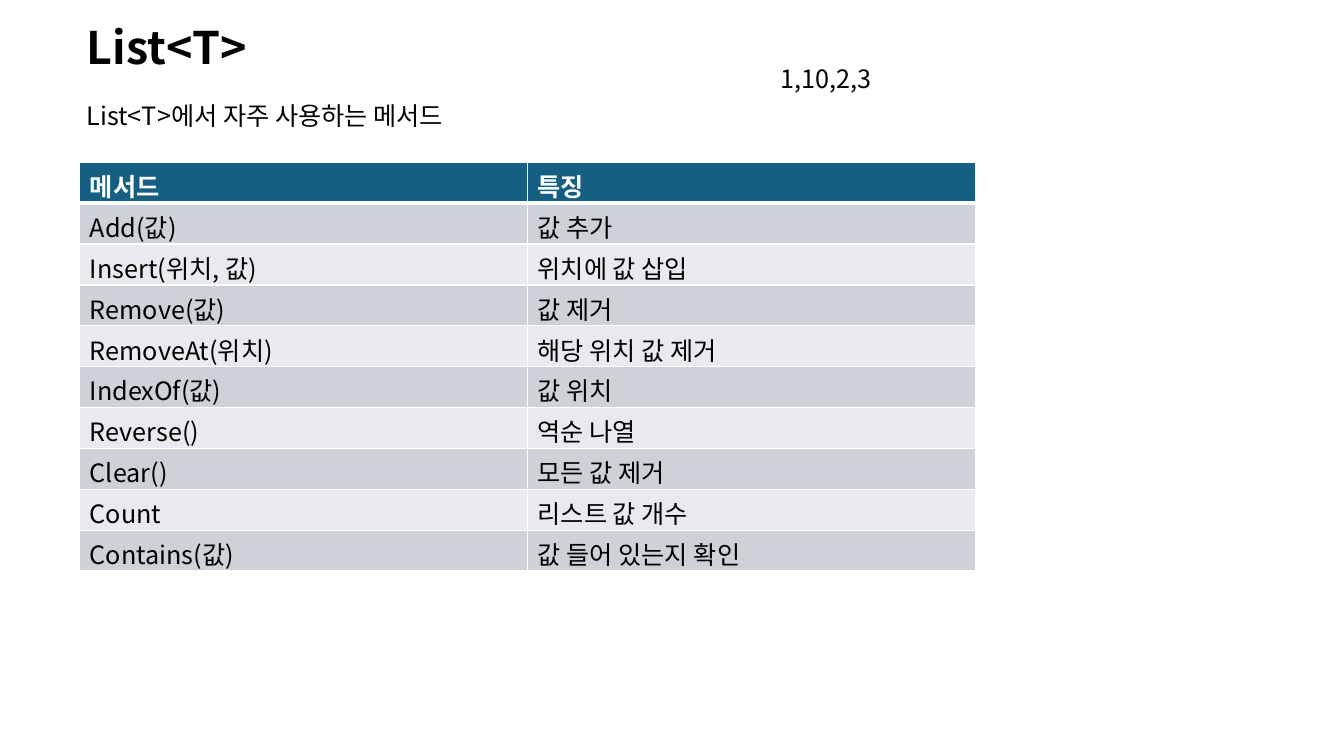
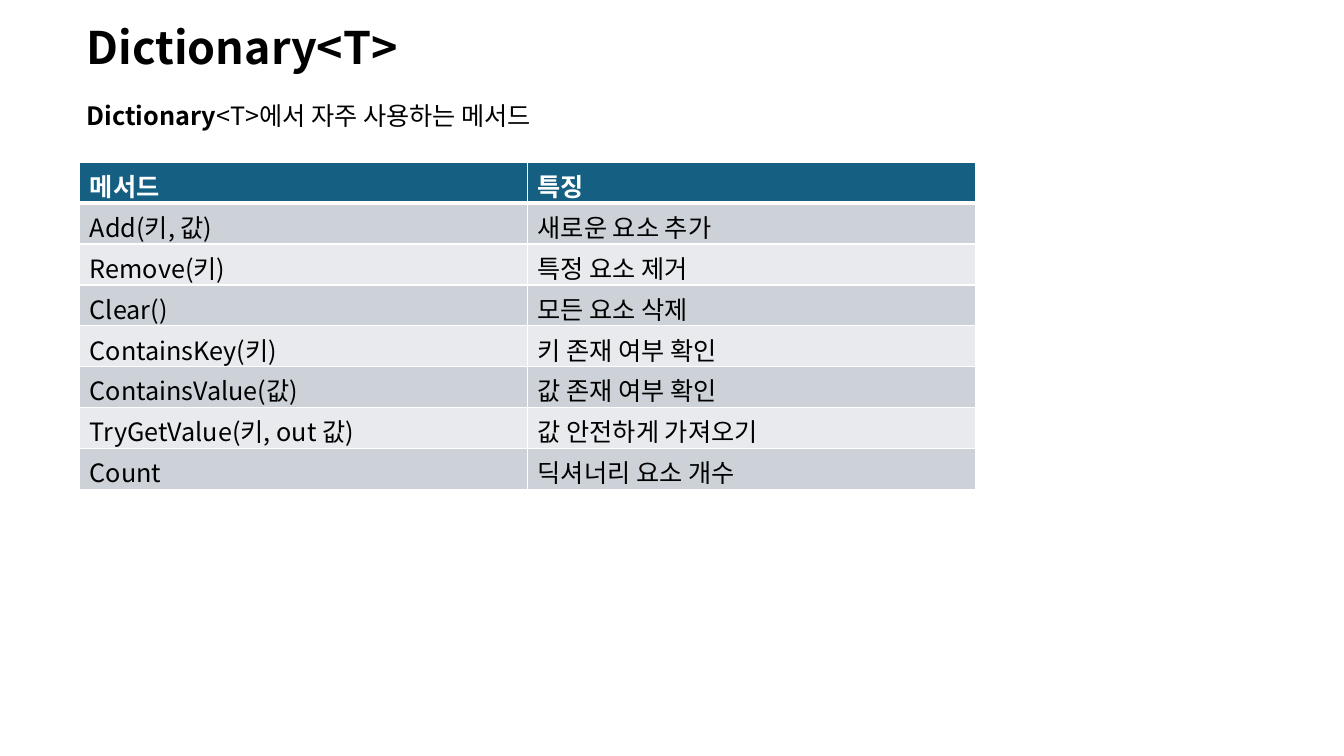
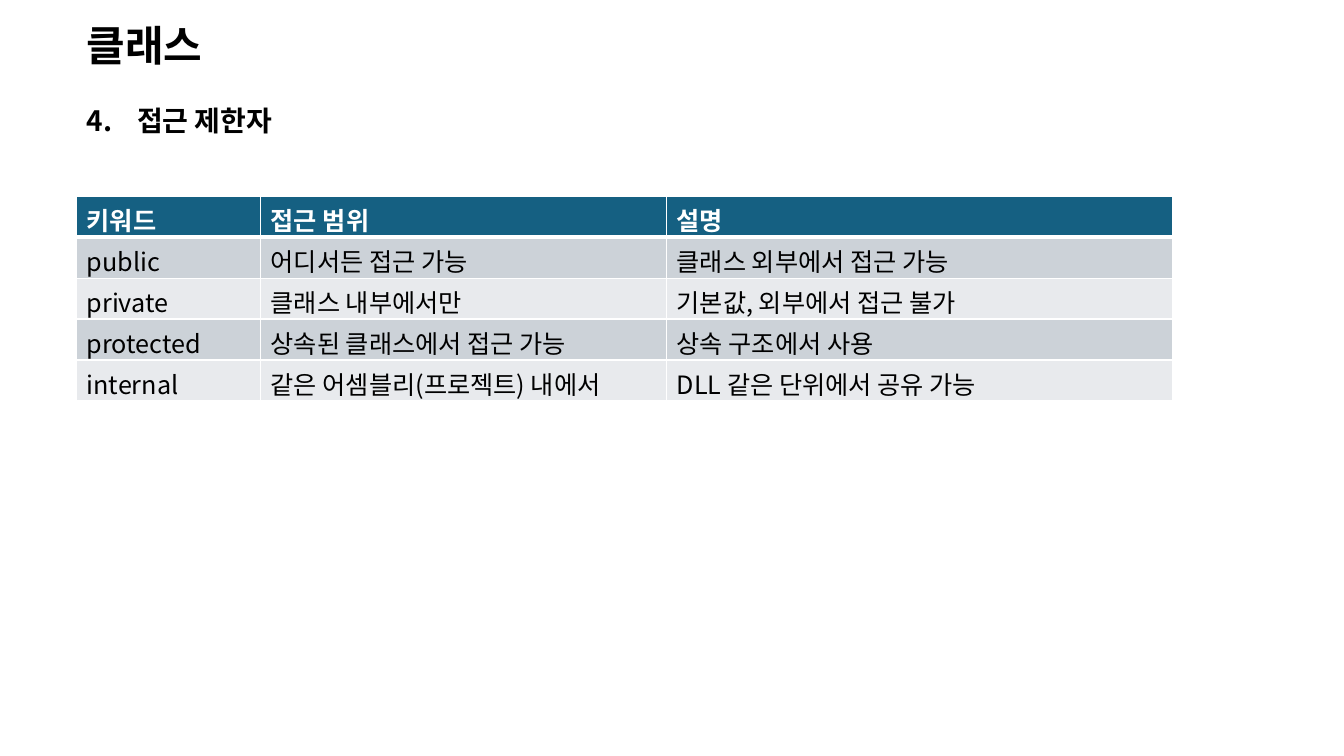
from lxml import etree
from pptx import Presentation
from pptx.dml.color import RGBColor
from pptx.enum import text as t
from pptx.oxml import ns
from pptx.util import Cm, Pt

FONT = "Noto Sans CJK KR"
INK, WHITE, HEAD = "000000", "FFFFFF", "156082"
BANDS = ["CCD2D8", "E8EAED"]
LEFT, ROW = 1.93, 1.03

LIST = [
    ("메서드", "특징"),
    ("Add(값)", "값 추가"),
    ("Insert(위치, 값)", "위치에 값 삽입"),
    ("Remove(값)", "값 제거"),
    ("RemoveAt(위치)", "해당 위치 값 제거"),
    ("IndexOf(값)", "값 위치"),
    ("Reverse()", "역순 나열"),
    ("Clear()", "모든 값 제거"),
    ("Count", "리스트 값 개수"),
    ("Contains(값)", "값 들어 있는지 확인"),
]
DICT = [
    ("메서드", "특징"),
    ("Add(키, 값)", "새로운 요소 추가"),
    ("Remove(키)", "특정 요소 제거"),
    ("Clear()", "모든 요소 삭제"),
    ("ContainsKey(키)", "키 존재 여부 확인"),
    ("ContainsValue(값)", "값 존재 여부 확인"),
    ("TryGetValue(키, out 값)", "값 안전하게 가져오기"),
    ("Count", "딕셔너리 요소 개수"),
]
ACCESS = [
    ("키워드", "접근 범위", "설명"),
    ("public", "어디서든 접근 가능", "클래스 외부에서 접근 가능"),
    ("private", "클래스 내부에서만", "기본값, 외부에서 접근 불가"),
    ("protected", "상속된 클래스에서 접근 가능", "상속 구조에서 사용"),
    ("internal", "같은 어셈블리(프로젝트) 내에서", "DLL 같은 단위에서 공유 가능"),
]


def paint(fill, color):
    fill.solid()
    fill.fore_color.rgb = RGBColor.from_string(color)


def add(parent, tag, **attrs):
    return etree.SubElement(parent, ns.qn(tag), attrs)


def style(run, size, bold=False, color=INK):
    font = run.font
    font.name, font.size, font.bold = FONT, Pt(size), bold
    paint(font.fill, color)
    add(font._element, "a:ea", typeface=FONT)


def write(box, at, parts, size, start=None):
    """Place a text shape; parts are (text, bold) runs, start numbers it."""
    box.left, box.top, box.width, box.height = map(Cm, at)
    frame = box.text_frame
    frame.word_wrap = True
    frame.vertical_anchor = t.MSO_ANCHOR.TOP
    frame.auto_size = t.MSO_AUTO_SIZE.SHAPE_TO_FIT_TEXT
    para = frame.paragraphs[0]
    para.alignment = t.PP_ALIGN.LEFT
    para.space_before = Pt(0)
    props = para._p.get_or_add_pPr()
    indent = Cm(1.27) if start else 0
    props.set("marL", str(indent))
    props.set("indent", str(-indent))
    if start:
        add(props, "a:buFont", typeface="+mj-lt")
        add(props, "a:buAutoNum", type="arabicPeriod", startAt=str(start))
    else:
        add(props, "a:buNone")
    for words, bold in parts:
        run = para.add_run()
        run.text = words
        style(run, size, bold)


def edge(cell, side, width):
    line = add(cell._tc.get_or_add_tcPr(), "a:ln" + side, w=str(Pt(width)))
    add(add(line, "a:solidFill"), "a:srgbClr", val=WHITE)


def grid(slide, left, top, widths, rows):
    """Add a table with a dark header and banded rows."""
    table = slide.shapes.add_table(
        len(rows), len(widths), Cm(left), Cm(top),
        Cm(sum(widths)), Cm(ROW * len(rows))).table
    for col, width in zip(table.columns, widths):
        col.width = Cm(width)
    for r, row in enumerate(rows):
        head = r == 0
        sides = {"L": 1, "R": 1, "T": 3 if r == 1 else 1, "B": 3 if head else 1}
        for c, words in enumerate(row):
            cell = table.cell(r, c)
            for side, width in sides.items():
                edge(cell, side, width)
            paint(cell.fill, HEAD if head else BANDS[(r - 1) % 2])
            cell.text_frame.text = words
            run = cell.text_frame.paragraphs[0].runs[0]
            style(run, 18, head, WHITE if head else INK)


def start(deck, title, size=32):
    slide = deck.slides.add_slide(deck.slide_layouts[1])
    write(slide.shapes.title, (LEFT, 0.36, 13.84, 1.6), [(title, True)], size)
    return slide, slide.placeholders[1]


def methods(deck, title, lead, rows):
    """Add a slide that lists the methods of a collection."""
    slide, body = start(deck, title)
    write(body, (LEFT, 2.41, 13.26, 1.02), lead, 18)
    grid(slide, 2.01, 4.09, [11.29] * 2, rows)
    return slide


def main():
    deck = Presentation()
    deck.slide_width, deck.slide_height = Cm(33.87), Cm(19.05)

    slide = methods(deck, "List<T>",
                    [("List<T>에서 자주 사용하는 메서드", False)], LIST)
    note = slide.shapes.add_textbox(0, 0, 0, 0)
    write(note, (19.43, 1.47, 9.83, 1.02), [("1,10,2,3", False)], 18)

    methods(deck, "Dictionary<T>",
            [("Dictionary", True), ("<T>에서 자주 사용하는 메서드", False)], DICT)

    slide, body = start(deck, "클래스", 30)
    write(body, (LEFT, 2.49, 31.34, 1.12), [("접근 제한자", True)], 20, 4)
    grid(slide, LEFT, 4.95, [4.64, 10.23, 12.74], ACCESS)

    deck.save("out.pptx")


if __name__ == "__main__":
    main()
